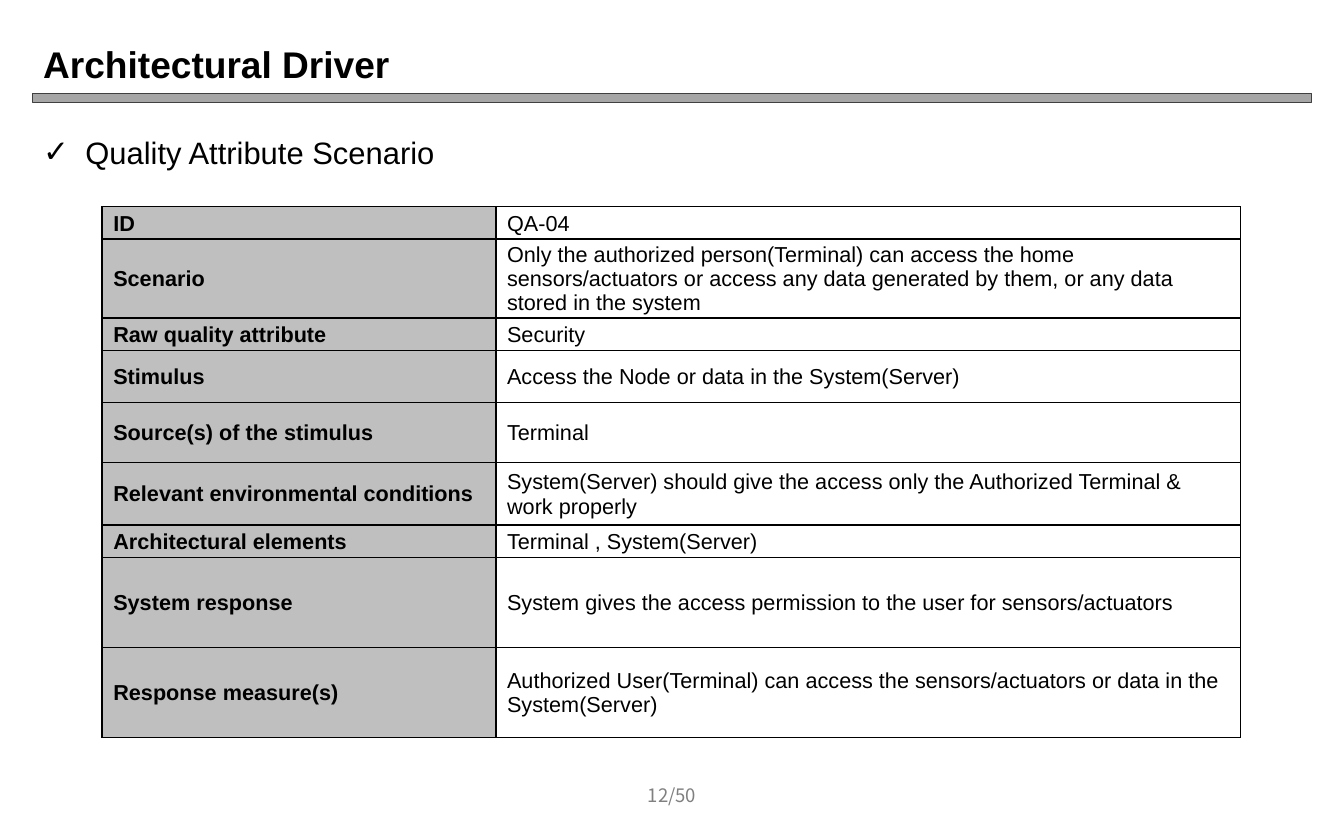
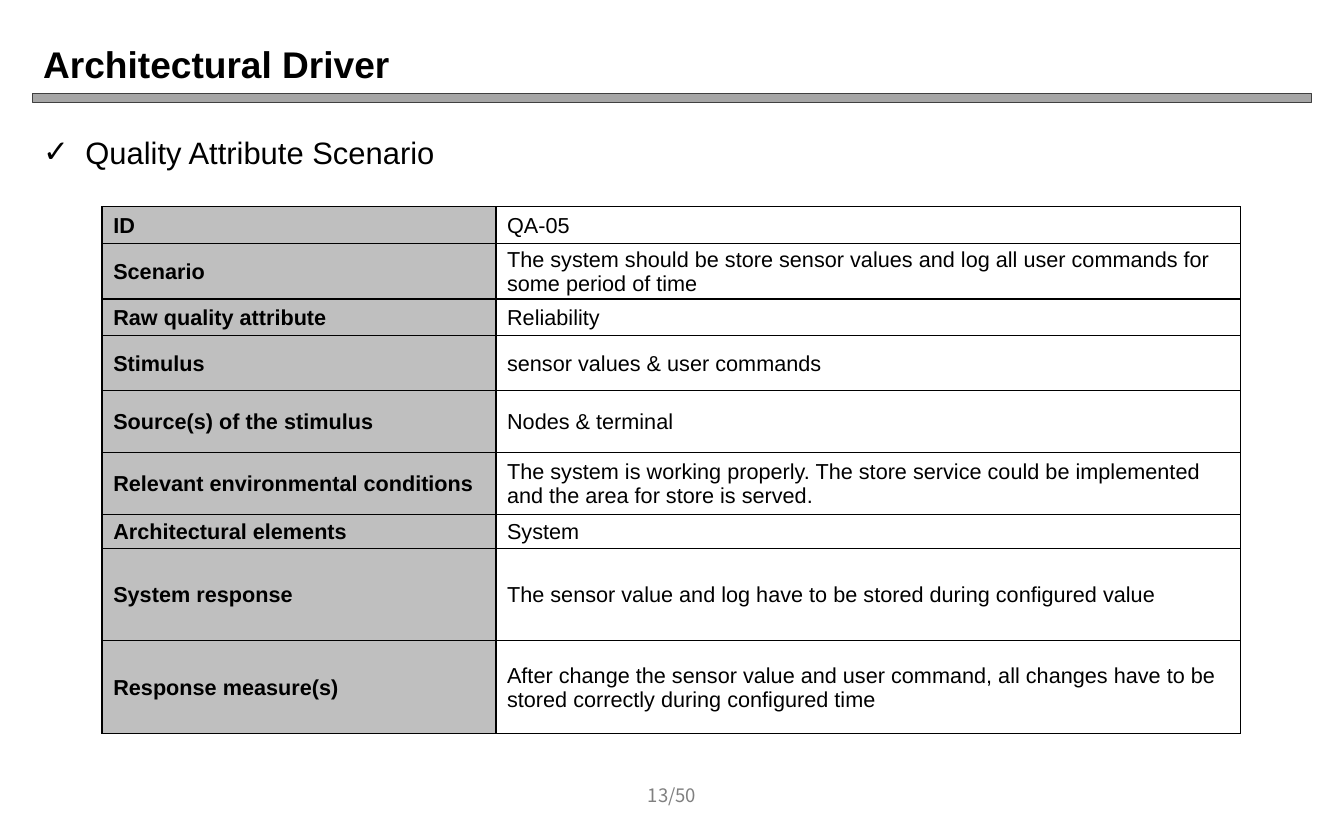
from lxml import etree
from pptx import Presentation
from pptx.dml.color import RGBColor
from pptx.enum.shapes import MSO_SHAPE
from pptx.enum.text import MSO_ANCHOR, PP_ALIGN
from pptx.oxml.ns import qn
from pptx.util import Inches, Pt

PROCESS = MSO_SHAPE.FLOWCHART_PROCESS
TOP, MIDDLE = MSO_ANCHOR.TOP, MSO_ANCHOR.MIDDLE
LEFT, CENTER = PP_ALIGN.LEFT, PP_ALIGN.CENTER

COLORS = {
    "text": "000000",
    "page": "808080",
    "bar": "A6A6A6",
    "bar_line": "404040",
    "label": "BFBFBF",
    "border": "000000",
}
BODY_FONT = "Arial"
PAGE_FONT = "Noto Sans CJK KR"

MARGIN = 2.4
CONTENT_WIDTH = 95.2
PAGE_WIDTH = 9
TABLE_LEFT, TABLE_TOP = 7.6, 24.8
COLUMN_SHARES = [29.3, 55.4]
PAGE_COUNT = 50

LABELS = [
    "ID",
    "Scenario",
    "Raw quality attribute",
    "Stimulus",
    "Source(s) of the stimulus",
    "Relevant environmental conditions",
    "Architectural elements",
    "System response",
    "Response measure(s)",
]

SCENARIOS = [
    {
        "page": 12,
        "row_shares": [3.87, 8.67, 3.87, 6.27, 7.2, 7.47, 3.87, 10.8, 10.8],
        "values": [
            "QA-04",
            "Only the authorized person(Terminal) can access the home sensors/actuators "
            "or access any data generated by them, or any data stored in the system",
            "Security",
            "Access the Node or data in the System(Server)",
            "Terminal",
            "System(Server) should give the access only the Authorized Terminal & work properly",
            "Terminal , System(Server)",
            "System gives the access permission to the user for sensors/actuators",
            "Authorized User(Terminal) can access the sensors/actuators or data in the System(Server)",
        ],
    },
    {
        "page": 13,
        "row_shares": [4.4, 6.67, 4.4, 6.53, 7.47, 7.47, 4, 11.07, 11.2],
        "values": [
            "QA-05",
            "The system should be store sensor values and log all user commands "
            "for some period of time",
            "Reliability",
            "sensor values & user commands",
            "Nodes & terminal",
            "The system is working properly. The store service could be implemented "
            "and the area for store is served.",
            "System",
            "The sensor value and log have to be stored during configured value",
            "After change the sensor value and user command, all changes have to be "
            "stored correctly during configured time",
        ],
    },
]

presentation = Presentation()
presentation.slide_width = Inches(12.08)
presentation.slide_height = Inches(7.5)
blank_layout = presentation.slide_layouts[6]


def area(left, top, width, height):
    across = presentation.slide_width / 100
    down = presentation.slide_height / 100
    return int(left * across), int(top * down), int(width * across), int(height * down)


def style(paragraph, size, color="text", name=BODY_FONT, bold=False, align=LEFT):
    paragraph.alignment = align
    paragraph.font.size = Pt(size)
    paragraph.font.name = name
    paragraph.font.bold = bold
    paragraph.font.color.rgb = RGBColor.from_string(COLORS[color])


for scenario in SCENARIOS:
    slide = presentation.slides.add_slide(blank_layout)

    bar = slide.shapes.add_shape(PROCESS, *area(MARGIN, 11.2, CONTENT_WIDTH, 1.07))
    bar.shadow.inherit = False
    bar.fill.solid()
    bar.fill.fore_color.rgb = RGBColor.from_string(COLORS["bar"])
    bar.line.color.rgb = RGBColor.from_string(COLORS["bar_line"])
    bar.line.width = Pt(0.75)

    text_boxes = [
        ("Architectural Driver", (MARGIN, 4, CONTENT_WIDTH, 7.2), MIDDLE,
         {"size": 24, "bold": True}),
        ("Quality Attribute Scenario", (MARGIN, 15.33, CONTENT_WIDTH, 75.6), TOP,
         {"size": 20}),
        (f"{scenario['page']}/{PAGE_COUNT}",
         ((100 - PAGE_WIDTH) / 2, 92.67, PAGE_WIDTH, 5.33), MIDDLE,
         {"size": 12, "color": "page", "name": PAGE_FONT, "align": CENTER}),
    ]
    for text, place, anchor, look in text_boxes:
        text_frame = slide.shapes.add_textbox(*area(*place)).text_frame
        text_frame.word_wrap = True
        text_frame.vertical_anchor = anchor
        paragraph = text_frame.paragraphs[0]
        paragraph.text = text
        if anchor == TOP:
            properties = paragraph._p.get_or_add_pPr()
            properties.set("marL", str(Inches(0.38)))
            properties.set("indent", str(-Inches(0.38)))
            etree.SubElement(properties, qn("a:buFont"), typeface=BODY_FONT)
            etree.SubElement(properties, qn("a:buChar"), char="✓")
        style(paragraph, **look)

    row_shares = scenario["row_shares"]
    table = slide.shapes.add_table(
        len(LABELS), len(COLUMN_SHARES),
        *area(TABLE_LEFT, TABLE_TOP, sum(COLUMN_SHARES), sum(row_shares)),
    ).table
    table.first_row = False
    table.horz_banding = False
    for column, share in zip(table.columns, COLUMN_SHARES):
        column.width = int(presentation.slide_width * share / 100)
    for row, share, label, value in zip(table.rows, row_shares, LABELS, scenario["values"]):
        row.height = int(presentation.slide_height * share / 100)
        for cell, text, is_label in zip(row.cells, (label, value), (True, False)):
            cell.text = text
            cell.vertical_anchor = MIDDLE
            cell.margin_left = cell.margin_right = Inches(0.1)
            cell.margin_top = Inches(0.01)
            cell.margin_bottom = 0
            style(cell.text_frame.paragraphs[0], 14, bold=is_label)
            properties = cell._tc.get_or_add_tcPr()
            for side in ("a:lnL", "a:lnR", "a:lnT", "a:lnB"):
                border = etree.SubElement(properties, qn(side), w=str(Pt(1)))
                fill = etree.SubElement(border, qn("a:solidFill"))
                etree.SubElement(fill, qn("a:srgbClr"), val=COLORS["border"])
            if is_label:
                cell.fill.solid()
                cell.fill.fore_color.rgb = RGBColor.from_string(COLORS["label"])
            else:
                cell.fill.background()

presentation.save("out.pptx")
